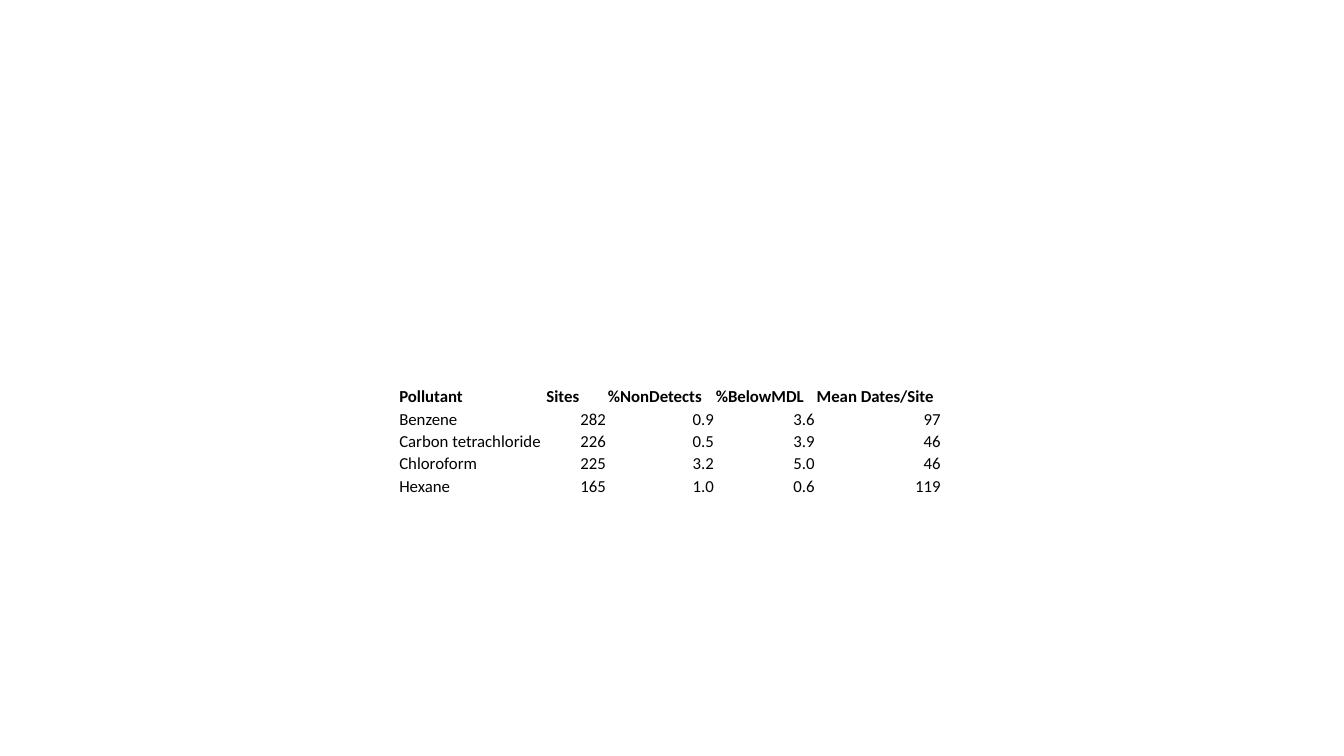
from pptx import Presentation
from pptx import util as u
from pptx.dml.color import RGBColor
from pptx.enum import text

BLACK = RGBColor(0, 0, 0)
PX = 9144
HEAD = ["Pollutant", "Sites", "%NonDetects", "%BelowMDL", "Mean Dates/Site"]
ROWS = [
    ["Benzene", "282", "0.9", "3.6", "97"],
    ["Carbon tetrachloride", "226", "0.5", "3.9", "46"],
    ["Chloroform", "225", "3.2", "5.0", "46"],
    ["Hexane", "165", "1.0", "0.6", "119"],
]
WIDTHS = [146, 61, 107, 100, 125]


class Deck:
    """Holds the text style and the current slide."""

    def __init__(self):
        self.prs = Presentation()
        self.prs.slide_width = 1333 * PX
        self.prs.slide_height = 750 * PX
        self.slide = self.prs.slides.add_slide(self.prs.slide_layouts[6])
        self.font = {"name": "Calibri", "size": u.Pt(12)}
        self.inset = {
            "margin_left": PX,
            "margin_top": PX,
            "margin_right": PX,
            "margin_bottom": 0,
            "vertical_anchor": text.MSO_ANCHOR.BOTTOM,
        }

    def apply(self, item, form):
        for key, value in form.items():
            setattr(item, key, value)

    def cell(self, cell, words, bold, align):
        self.apply(cell, self.inset)
        cell.fill.background()
        para = cell.text_frame.paragraphs[0]
        para.alignment = align
        run = para.add_run()
        run.text = words
        self.apply(run.font, {**self.font, "bold": bold})
        run.font.color.rgb = BLACK

    def table(self, left, top, height, widths, rows):
        frame = self.slide.shapes.add_table(
            len(rows), len(widths), left * PX, top * PX, sum(widths) * PX, height * PX
        )
        grid = frame.table
        self.apply(grid, {"first_row": False, "horz_banding": False})
        for col, width in zip(grid.columns, widths):
            col.width = width * PX
        for r, row in enumerate(rows):
            for c, words in enumerate(row):
                right = r > 0 and c > 0
                align = text.PP_ALIGN.RIGHT if right else text.PP_ALIGN.LEFT
                self.cell(grid.cell(r, c), words, r == 0, align)


def main():
    deck = Deck()
    deck.table(395, 382, 111, WIDTHS, [HEAD] + ROWS)
    deck.prs.save("out.pptx")


if __name__ == "__main__":
    main()
